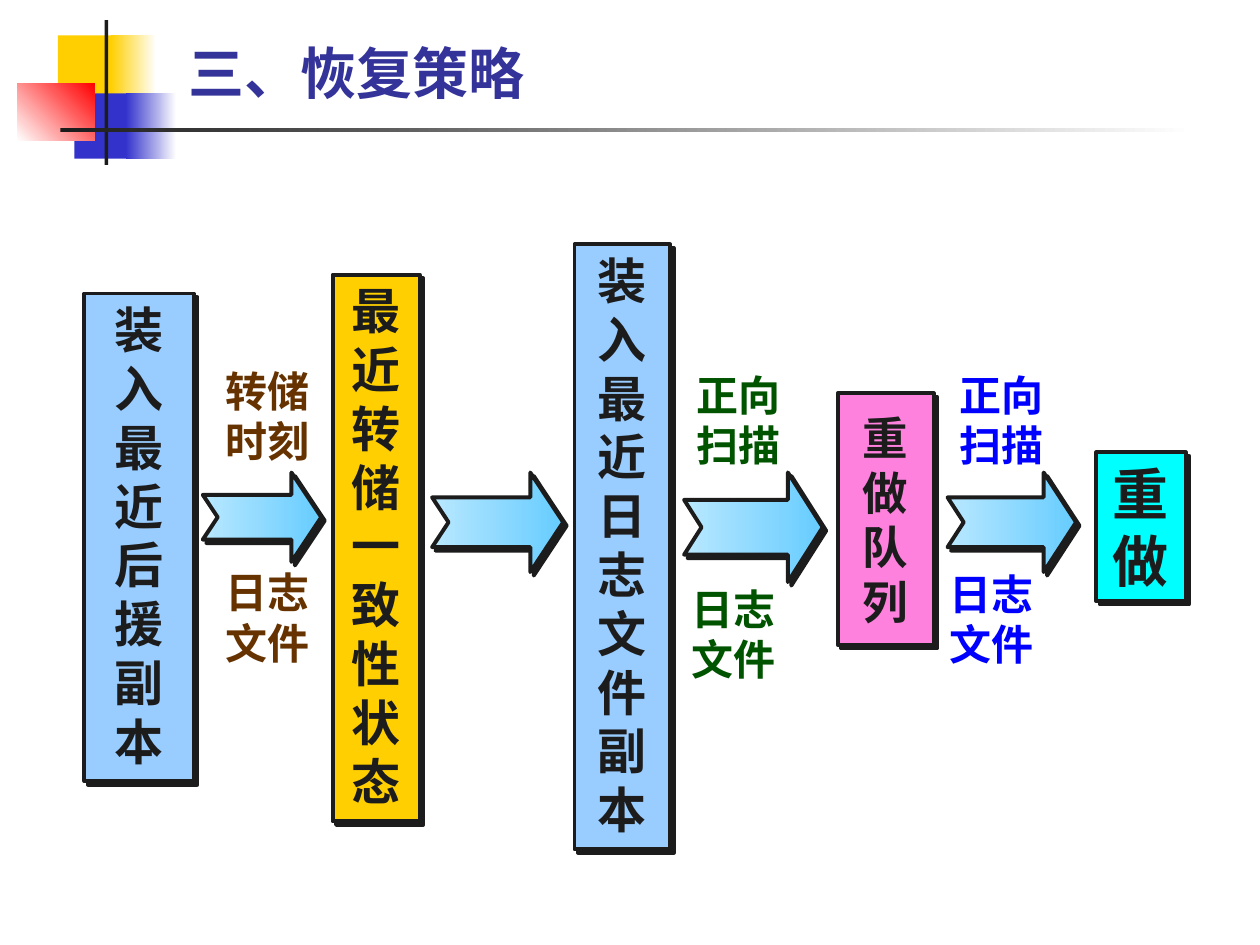
from dataclasses import dataclass

from lxml import etree
from pptx import Presentation
from pptx import util as u
from pptx.dml.color import RGBColor
from pptx.enum import shapes, text
from pptx.oxml import ns

INK = "1C1C1C"
CJK_FONT = "Noto Sans CJK SC"
BROWN, GREEN, BLUE = "663300", "005400", "0000FF"
LINE_HEIGHT = 1.2
ARROW_TOP = 3.75


@dataclass
class Block:
    """Decorative rectangle; it fades to end_colour when one is given."""
    left: float
    top: float
    width: float
    height: float
    colour: str
    end_colour: str = ""
    angle: float = 0


@dataclass
class Step:
    left: float
    top: float
    width: float
    height: float
    colour: str
    size: int
    lines: list[str]
    anchor: text.MSO_ANCHOR = text.MSO_ANCHOR.TOP


@dataclass
class Arrow:
    left: float
    width: float
    height: float
    head: float


@dataclass
class Label:
    left: float
    top: float
    height: float
    colour: str
    lines: list[str]
    gap_lines: int = 0


BLOCKS = [
    Block(0.46, 0.28, 0.48, 0.52, "FFCF01"),
    Block(0.88, 0.28, 0.36, 0.52, "FFCF01", "FFFFFF"),
    Block(0.59, 0.74, 0.46, 0.52, "3333CC"),
    Block(1, 0.74, 0.4, 0.52, "3333CC", "FFFFFF"),
    Block(0.14, 0.66, 0.61, 0.46, "FFFFFF", "FF0000", 45),
    Block(0.83, 0.16, 0.03, 1.15, INK),
    Block(0.48, 1.02, 9, 0.03, INK, "FFFFFF"),
]
STEPS = [
    Step(0.67, 2.33, 0.87, 3.87, "99CCFF", 28, ["装入最近后援副本"]),
    Step(2.64, 2.18, 0.69, 4.34, "FFCF01", 28, ["最近转储", "一致性状态"]),
    Step(4.56, 1.94, 0.76, 4.8, "99CCFF", 28, ["装入最近日志文件副本"]),
    Step(6.65, 3.12, 0.76, 2, "FF81DE", 26, ["重做队列"], text.MSO_ANCHOR.MIDDLE),
    Step(8.7, 3.59, 0.71, 1.18, "00FFFF", 32, ["重做"], text.MSO_ANCHOR.MIDDLE),
]
ARROWS = [
    Arrow(1.61, 0.94, 0.71, 0.333),
    Arrow(3.43, 1.04, 0.79, 0.33),
    Arrow(5.43, 1.1, 0.87, 0.318),
    Arrow(7.52, 1.02, 0.79, 0.325),
]
LABELS = [
    Label(1.69, 2.85, 2.5, BROWN, ["转储时刻", "日志文件"], gap_lines=2),
    Label(5.43, 2.88, 0.9, GREEN, ["正向", "扫描"]),
    Label(5.39, 4.58, 0.9, GREEN, ["日志文件"]),
    Label(7.52, 2.88, 0.9, BLUE, ["正向", "扫描"]),
    Label(7.44, 4.46, 0.9, BLUE, ["日志文件"]),
]


def rgb(colour: str) -> RGBColor:
    return RGBColor.from_string(colour)


def fill_shape(shape, colour: str, end_colour: str = "", angle: float = 0) -> None:
    if not end_colour:
        shape.fill.solid()
        shape.fill.fore_color.rgb = rgb(colour)
        return
    shape.fill.gradient()
    shape.fill.gradient_angle = angle
    for stop, stop_colour in zip(shape.fill.gradient_stops, (colour, end_colour)):
        stop.color.rgb = rgb(stop_colour)


def add_preset(slide, preset, left: float, top: float, width: float, height: float):
    shape = slide.shapes.add_shape(
        preset, u.Inches(left), u.Inches(top), u.Inches(width), u.Inches(height))
    shape.shadow.inherit = False
    return shape


def outline_with_shadow(shape) -> None:
    """Give the shape a dark outline and a hard shadow to the lower right."""
    shape.line.color.rgb = rgb(INK)
    shape.line.width = u.Pt(2.25)
    effects = shape._element.spPr.find(ns.qn("a:effectLst"))
    shadow = etree.SubElement(
        effects, ns.qn("a:outerShdw"), dist=str(u.Pt(2.8)), dir="2700000",
        algn="ctr", rotWithShape="0")
    etree.SubElement(shadow, ns.qn("a:srgbClr"), val=INK)


def write(shape, lines: list[str], size: int, colour: str, font: str = CJK_FONT,
          align=text.PP_ALIGN.LEFT, anchor=text.MSO_ANCHOR.TOP,
          gap_lines: int = 0) -> None:
    """Write one paragraph per line, gap_lines empty line heights apart."""
    frame = shape.text_frame
    frame.word_wrap = True
    frame.vertical_anchor = anchor
    frame.text = "\n".join(lines)
    for index, paragraph in enumerate(frame.paragraphs):
        paragraph.alignment = align
        paragraph.line_spacing = u.Pt(size * LINE_HEIGHT)
        if index and gap_lines:
            paragraph.space_before = u.Pt(gap_lines * size * LINE_HEIGHT)
        for run in paragraph.runs:
            run.font.name = font
            run.font.size = u.Pt(size)
            run.font.bold = True
            run.font.color.rgb = rgb(colour)
            etree.SubElement(run.font._element, ns.qn("a:ea"), typeface=CJK_FONT)


def add_text_box(slide, left: float, top: float, width: float, height: float):
    return slide.shapes.add_textbox(
        u.Inches(left), u.Inches(top), u.Inches(width), u.Inches(height))


def draw_block(slide, block: Block) -> None:
    shape = add_preset(slide, shapes.MSO_SHAPE.RECTANGLE,
                       block.left, block.top, block.width, block.height)
    fill_shape(shape, block.colour, block.end_colour, block.angle)
    shape.line.fill.background()


def draw_step(slide, step: Step) -> None:
    shape = add_preset(slide, shapes.MSO_SHAPE.RECTANGLE,
                       step.left, step.top, step.width, step.height)
    fill_shape(shape, step.colour)
    outline_with_shadow(shape)
    write(shape, step.lines, step.size, INK, "Arial",
          text.PP_ALIGN.CENTER, step.anchor)


def draw_arrow(slide, arrow: Arrow) -> None:
    shape = add_preset(slide, shapes.MSO_SHAPE.NOTCHED_RIGHT_ARROW,
                       arrow.left, ARROW_TOP, arrow.width, arrow.height)
    shape.adjustments[0] = 0.5
    shape.adjustments[1] = arrow.head
    fill_shape(shape, "B9E8FF", "66CCFF")
    outline_with_shadow(shape)


def draw_label(slide, label: Label) -> None:
    box = add_text_box(slide, label.left, label.top, 0.94, label.height)
    write(box, label.lines, 24, label.colour, gap_lines=label.gap_lines)


def main() -> None:
    presentation = Presentation()
    presentation.slide_width = u.Inches(10)
    presentation.slide_height = u.Inches(7.5)
    slide = presentation.slides.add_slide(presentation.slide_layouts[6])
    for block in BLOCKS:
        draw_block(slide, block)
    title = add_text_box(slide, 1.4, 0.36, 7.38, 0.43)
    write(title, ["三、恢复策略"], 32, "333399", anchor=text.MSO_ANCHOR.MIDDLE)
    for step in STEPS:
        draw_step(slide, step)
    for label in LABELS:
        draw_label(slide, label)
    for arrow in ARROWS:
        draw_arrow(slide, arrow)
    presentation.save("out.pptx")


if __name__ == "__main__":
    main()
